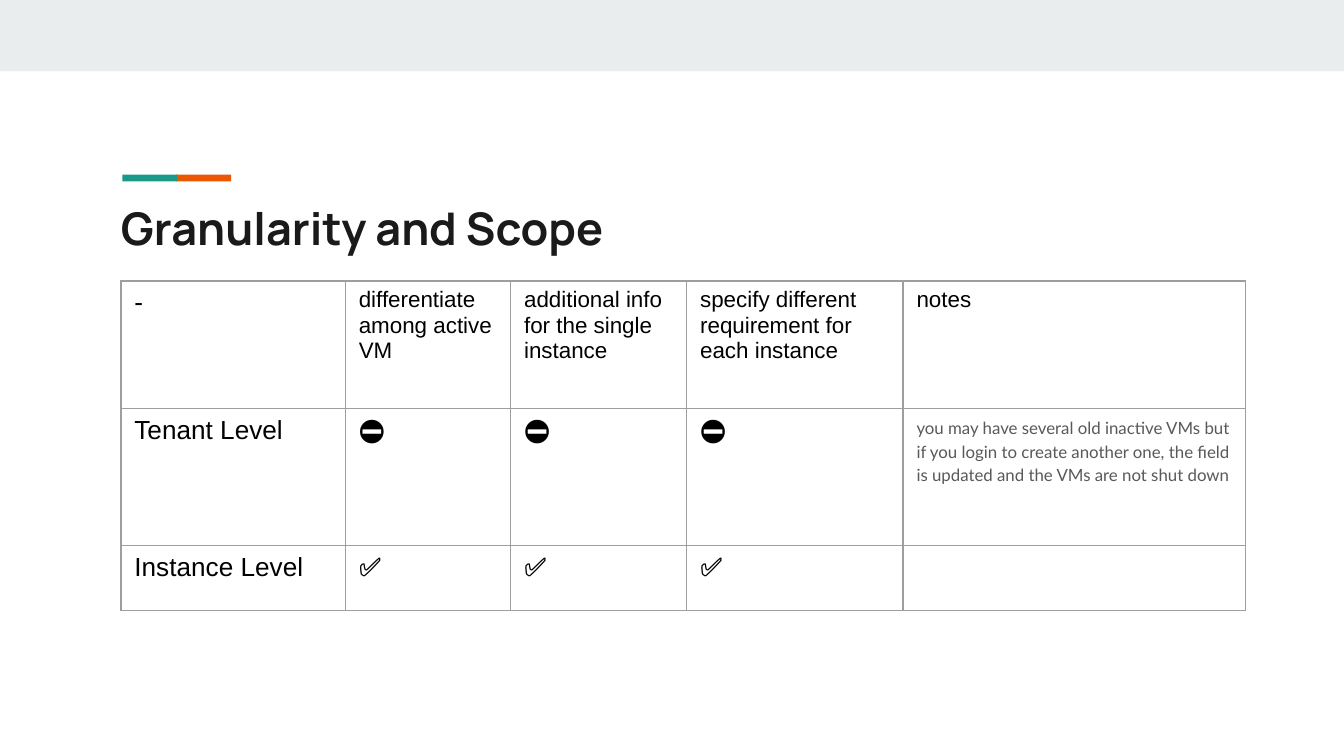
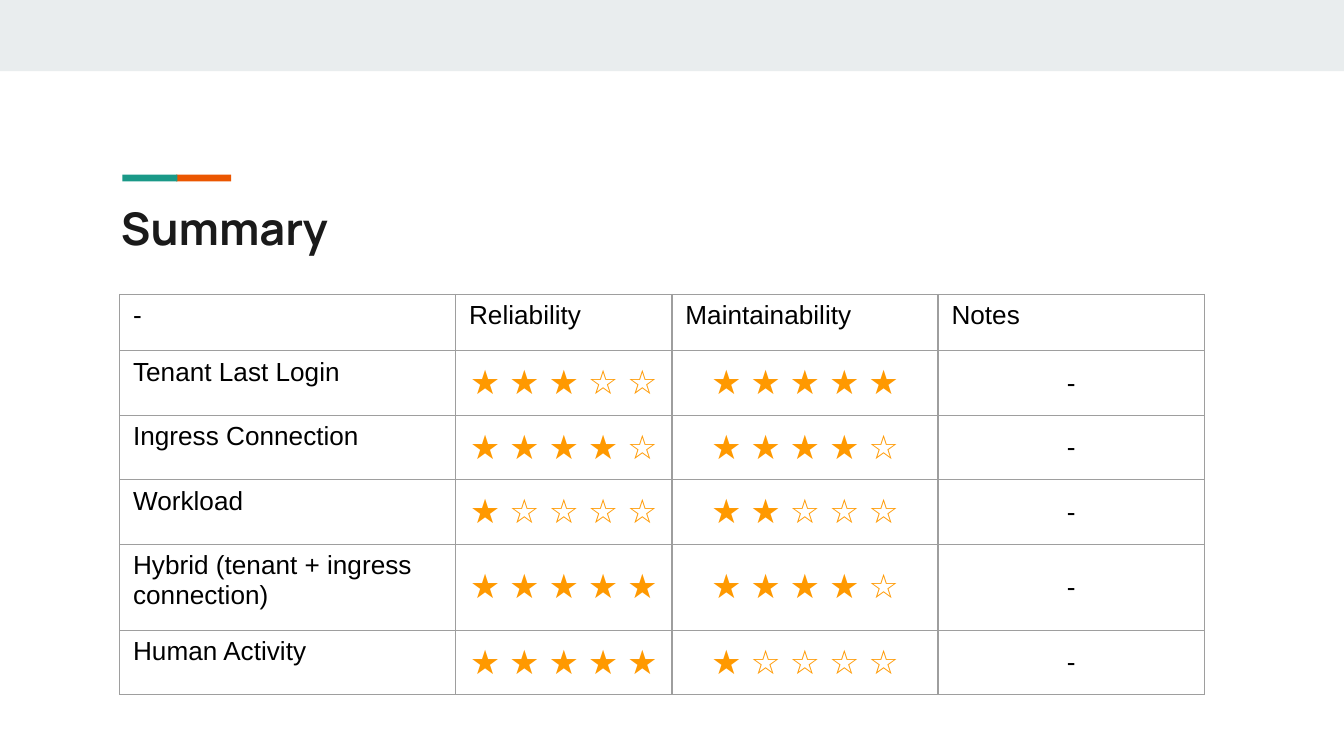
from dataclasses import dataclass, replace

from lxml.etree import SubElement
from pptx import Presentation
from pptx.dml.color import RGBColor
from pptx.enum.shapes import MSO_SHAPE as Shape
from pptx.enum.text import MSO_ANCHOR as Anchor, PP_ALIGN as Align
from pptx.oxml.ns import qn
from pptx.util import Inches, Pt

# Shared look
INK, BLACK, GREY, LINE = "1A1A1A", "000000", "595959", "9E9E9E"
BAND, TEAL, RUST, GOLD = "E9EDEE", "1A9988", "EB5600", "FF9900"


@dataclass(frozen=True)
class Bar:
    left: float
    top: float
    width: float
    height: float
    fill: str


@dataclass(frozen=True)
class Style:
    size: float = 14
    font: str = "Arial"
    color: str = BLACK
    bold: bool = False
    mid: bool = False
    lead: float = 1.0
    after: float = 0


@dataclass(frozen=True)
class Cell:
    text: str
    style: Style = Style()


@dataclass(frozen=True)
class Grid:
    left: float
    top: float
    cols: list[float]
    rows: list[float]
    cells: list[list[Cell]]


BARS = [
    Bar(0, 0, 10, 0.53, BAND),
    Bar(1.31, 1.3, 0.41, 0.05, RUST),
    Bar(0.91, 1.3, 0.41, 0.05, TEAL),
]
TITLE = Style(24.1, "Manrope", INK, bold=True, lead=0.9)
BODY = Style()
HEAD = replace(BODY, size=12)
NOTE = Style(9, "Lato", GREY, lead=1.15, after=12)
MID = replace(BODY, mid=True)
STARS = replace(MID, size=18, color=GOLD)


def rgb(code: str) -> RGBColor:
    return RGBColor.from_string(code)


def write(frame, text: str, style: Style) -> None:
    para = frame.paragraphs[0]
    para.alignment = Align.CENTER if style.mid else Align.LEFT
    para.line_spacing = style.lead
    para.space_before, para.space_after = Pt(0), Pt(style.after)
    run = para.add_run()
    run.text = text
    font = run.font
    font.size, font.name, font.bold = Pt(style.size), style.font, style.bold
    font.color.rgb = rgb(style.color)


def draw_bar(slide, bar: Bar) -> None:
    shape = slide.shapes.add_shape(
        Shape.RECTANGLE, Inches(bar.left), Inches(bar.top),
        Inches(bar.width), Inches(bar.height))
    shape.shadow.inherit = False
    shape.fill.solid()
    shape.fill.fore_color.rgb = rgb(bar.fill)
    shape.line.fill.background()


def add_page(deck, title: str):
    slide = deck.slides.add_slide(deck.slide_layouts.get_by_name("Title Only"))
    for bar in BARS:
        draw_bar(slide, bar)
    box = slide.shapes.title
    box.left, box.top = Inches(0.8), Inches(1.44)
    box.width, box.height = Inches(8.41), Inches(0.59)
    frame = box.text_frame
    frame.margin_left = frame.margin_right = Inches(0.1)
    frame.margin_top = frame.margin_bottom = Inches(0.1)
    frame.word_wrap = True
    frame.vertical_anchor = Anchor.TOP
    write(frame, title, TITLE)
    return slide


def add_edges(cell) -> None:
    props = cell._tc.get_or_add_tcPr()
    for side in ("lnL", "lnR", "lnT", "lnB"):
        edge = SubElement(props, qn(f"a:{side}"), w=str(Pt(0.75)))
        fill = SubElement(edge, qn("a:solidFill"))
        SubElement(fill, qn("a:srgbClr"), val=LINE)


def draw_grid(slide, grid: Grid) -> None:
    table = slide.shapes.add_table(
        len(grid.rows), len(grid.cols), Inches(grid.left), Inches(grid.top),
        Inches(sum(grid.cols)), Inches(sum(grid.rows))).table
    table.first_row = table.horz_banding = False
    for col, width in zip(table.columns, grid.cols):
        col.width = Inches(width)
    for row, height, items in zip(table.rows, grid.rows, grid.cells):
        row.height = Inches(height)
        for cell, item in zip(row.cells, items):
            cell.margin_left = cell.margin_right = Inches(0.1)
            cell.margin_top = cell.margin_bottom = Inches(0.05)
            cell.vertical_anchor = Anchor.MIDDLE if item.style.mid else Anchor.TOP
            add_edges(cell)
            cell.fill.background()
            if item.text:
                write(cell.text_frame, item.text, item.style)


def level(name: str, mark: str, note: str) -> list[Cell]:
    return [Cell(name), *[Cell(mark)] * 3, Cell(note, NOTE)]


def rate(count: int) -> Cell:
    return Cell(" ".join("★" * count + "☆" * (5 - count)), STARS)


def score(name: str, trust: int, care: int) -> list[Cell]:
    return [Cell(name), rate(trust), rate(care), Cell("-", MID)]


# Slide content
SCOPE = Grid(
    0.9, 2.09, [1.67, 1.23, 1.31, 1.61, 2.55], [0.95, 1.02, 0.48],
    [
        [Cell("-"),
         Cell("differentiate among active VM", HEAD),
         Cell("additional info for the single instance", HEAD),
         Cell("specify different requirement for each instance", HEAD),
         Cell("notes", HEAD)],
        level("Tenant Level", "⛔",
              "you may have several old inactive VMs but if you login to create "
              "another one, the field is updated and the VMs are not shut down"),
        level("Instance Level", "✅", ""),
    ])
SUMMARY = Grid(
    0.89, 2.19, [2.5, 1.61, 1.98, 1.98], [0.42, 0.48, 0.48, 0.48, 0.64, 0.48],
    [
        [Cell(name) for name in ("-", "Reliability", "Maintainability", "Notes")],
        score("Tenant Last Login", 3, 5),
        score("Ingress Connection", 4, 4),
        score("Workload", 1, 2),
        score("Hybrid (tenant + ingress connection)", 5, 4),
        score("Human Activity", 5, 1),
    ])


def main() -> None:
    deck = Presentation()
    # Widescreen, 16 to 9
    deck.slide_width = Inches(10)
    deck.slide_height = Inches(10 * 9 / 16)
    for title, grid in (("Granularity and Scope", SCOPE), ("Summary", SUMMARY)):
        draw_grid(add_page(deck, title), grid)
    deck.save("out.pptx")


if __name__ == "__main__":
    main()
